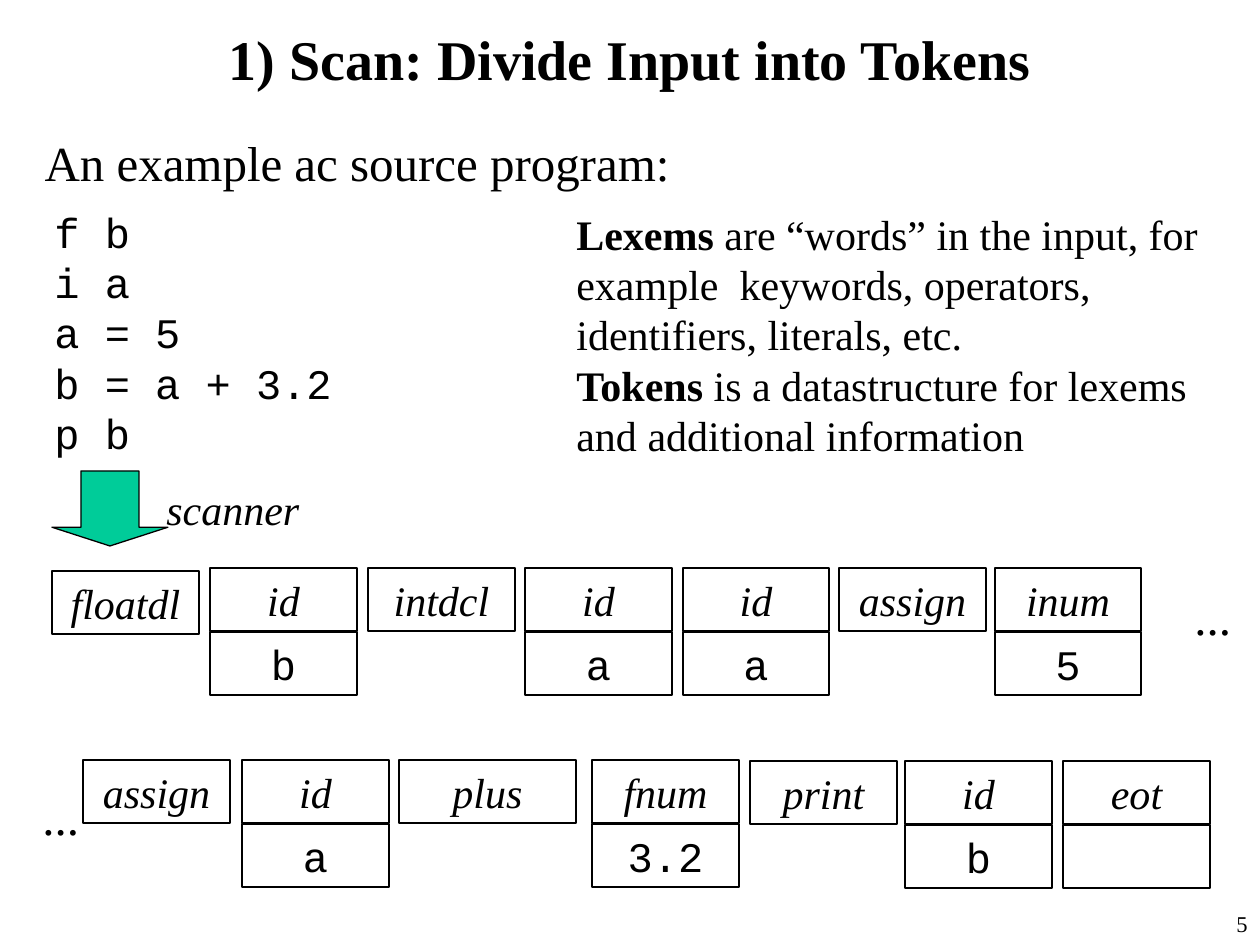
from dataclasses import dataclass
from typing import Optional

import pptx
import pptx.dml.color
import pptx.enum.shapes
import pptx.enum.text
import pptx.util
from lxml import etree

PX = 914400 / 126
BLACK = pptx.dml.color.RGBColor(0x00, 0x00, 0x00)
GREEN = pptx.dml.color.RGBColor(0x00, 0xCC, 0x99)
SERIF = "Times New Roman"
MONO = "Courier New"
SHAPE = pptx.enum.shapes.MSO_SHAPE
ALIGN = pptx.enum.text.PP_ALIGN
ANCHOR = pptx.enum.text.MSO_ANCHOR
BOX_W, BOX_H, VALUE_DY = 147, 63, 64


@dataclass
class Token:
    x: int
    y: int
    kind: str
    value: Optional[str] = None
    w: int = BOX_W


TOKENS = [
    Token(52, 571, "floatdl"),
    Token(210, 568, "id", "b"),
    Token(368, 568, "intdcl"),
    Token(525, 568, "id", "a"),
    Token(683, 568, "id", "a", 146),
    Token(839, 568, "assign"),
    Token(995, 568, "inum", "5", 146),
    Token(83, 760, "assign"),
    Token(242, 760, "id", "a"),
    Token(399, 760, "plus", w=177),
    Token(592, 760, "fnum", "3.2"),
    Token(750, 761, "print"),
    Token(905, 761, "id", "b"),
    Token(1063, 761, "eot", ""),
]


def px(n: int) -> int:
    return round(n * PX)


def place(s, x: int, y: int, w: int, h: int) -> None:
    s.left, s.top, s.width, s.height = px(x), px(y), px(w), px(h)


def write(p, text: str, *, size: float = 24, font: str = SERIF, bold: bool = False,
          italic: bool = False, align=ALIGN.LEFT, before: float = 0) -> None:
    p.alignment = align
    p.space_before = pptx.util.Pt(before)
    for i, line in enumerate(text.split("\n")):
        if i:
            p.add_line_break()
        r = p.add_run()
        r.text = line
        r.font.size = pptx.util.Pt(size)
        r.font.name = font
        r.font.bold = bold
        r.font.italic = italic
        r.font.color.rgb = BLACK


def add_text(shapes, x: int, y: int, w: int, h: int):
    tf = shapes.add_textbox(px(x), px(y), px(w), px(h)).text_frame
    tf.word_wrap = True
    return tf


def add_outlined(shapes, kind, x: int, y: int, w: int, h: int, fill=None):
    s = shapes.add_shape(kind, px(x), px(y), px(w), px(h))
    s.shadow.inherit = False
    if fill is None:
        s.fill.background()
    else:
        s.fill.solid()
        s.fill.fore_color.rgb = fill
    s.line.color.rgb = BLACK
    s.line.width = pptx.util.Pt(0.75)
    return s


def add_cell(shapes, x: int, y: int, w: int, text: str, **style) -> None:
    tf = add_outlined(shapes, SHAPE.RECTANGLE, x, y, w, BOX_H).text_frame
    tf.vertical_anchor = ANCHOR.TOP
    tf.word_wrap = True
    if text:
        write(tf.paragraphs[0], text, align=ALIGN.CENTER, before=15, **style)


def add_token(shapes, token: Token) -> None:
    if token.value is not None:
        shapes = shapes.add_group_shape().shapes
        add_cell(shapes, token.x, token.y + VALUE_DY, token.w, token.value, font=MONO)
    add_cell(shapes, token.x, token.y, token.w, token.kind, italic=True)


def main() -> None:
    prs = pptx.Presentation()
    prs.slide_width, prs.slide_height = px(1260), px(945)
    slide = prs.slides.add_slide(prs.slide_layouts[1])
    shapes = slide.shapes

    title = shapes.title
    place(title, 32, 11, 1196, 95)
    title.text_frame.auto_size = pptx.enum.text.MSO_AUTO_SIZE.NONE
    title.text_frame.vertical_anchor = ANCHOR.MIDDLE
    write(title.text_frame.paragraphs[0], "1) Scan: Divide Input into Tokens",
          size=32, bold=True, align=ALIGN.CENTER)

    body = slide.placeholders[1]
    place(body, 32, 126, 1187, 73)
    body.text_frame.auto_size = pptx.enum.text.MSO_AUTO_SIZE.NONE
    p = body.text_frame.paragraphs[0]
    write(p, "An example ac source program:", size=28, before=7)
    pPr = p._p.get_or_add_pPr()
    pPr.set("marL", str(px(48)))
    pPr.set("indent", str(-px(48)))
    etree.SubElement(pPr, pptx.oxml.ns.qn("a:buNone"))

    tf = add_text(shapes, 42, 200, 494, 315)
    write(tf.paragraphs[0], "f b\ni a\na = 5\nb = a + 3.2\np b", font=MONO, before=15)

    tf = add_text(shapes, 564, 202, 654, 265)
    p = tf.paragraphs[0]
    write(p, "Lexems", bold=True)
    write(p, " are “words” in the input, for example  keywords, operators, "
             "identifiers, literals, etc.")
    p = tf.add_paragraph()
    write(p, "Tokens", bold=True)
    write(p, " is a datastructure for lexems and additional information")

    arrow = add_outlined(shapes, SHAPE.DOWN_ARROW, 52, 471, 116, 75, GREEN)
    arrow.adjustments[0], arrow.adjustments[1] = 0.5, 0.25
    tf = add_text(shapes, 154, 477, 170, 63)
    write(tf.paragraphs[0], "scanner", italic=True)

    for token in TOKENS:
        add_token(shapes, token)
    for x, y in ((1182, 580), (30, 780)):
        tf = add_text(shapes, x, y, 62, 72)
        write(tf.paragraphs[0], "...", size=28)

    tf = add_text(shapes, 1166, 904, 94, 41)
    write(tf.paragraphs[0], "5", size=12.9, align=ALIGN.RIGHT)

    prs.save("out.pptx")


if __name__ == "__main__":
    main()
